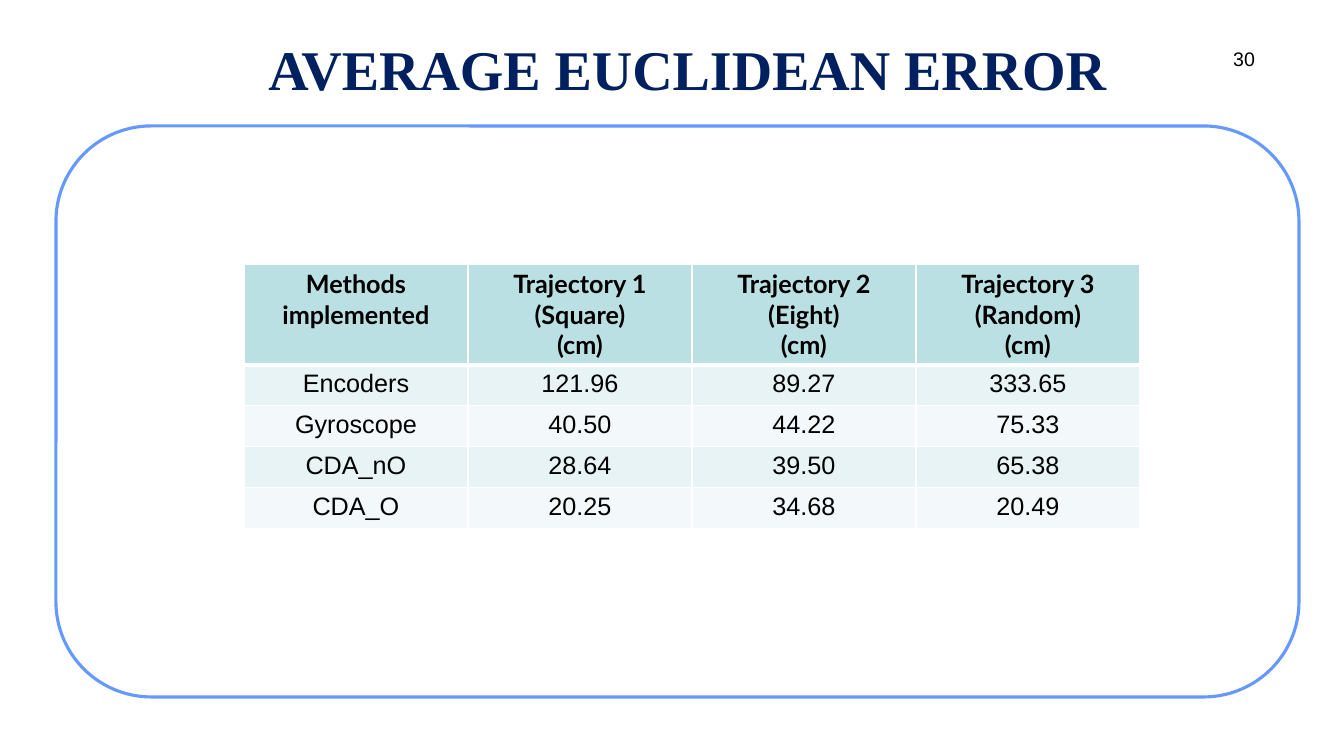
from dataclasses import dataclass

from lxml import etree
from pptx import Presentation
from pptx import util as u
from pptx.dml import color
from pptx.enum import shapes, text
from pptx.oxml import ns


@dataclass(frozen=True)
class Font:
    name: str
    size: int
    colour: str
    bold: bool = False


@dataclass(frozen=True)
class Theme:
    white: str = "FFFFFF"
    frame: str = "6699FF"
    header: str = "BBE0E3"
    bands: tuple[str, str] = ("E7F3F4", "F3F9FA")
    title: Font = Font("Times New Roman", 40, "002060", True)
    number: Font = Font("Arial", 14, "000000")
    heading: Font = Font("Lato", 18, "000000", True)
    body: Font = Font("Arial", 18, "000000")


@dataclass(frozen=True)
class Area:
    left: int
    top: int
    width: int
    height: int

    def emu(self) -> tuple[int, int, int, int]:
        return px(self.left), px(self.top), px(self.width), px(self.height)


@dataclass(frozen=True)
class Label:
    content: str
    area: Area
    font: Font
    align: text.PP_ALIGN
    anchor: text.MSO_ANCHOR


THEME = Theme()
SLIDE_WIDTH, SLIDE_HEIGHT = 1344, 756
EMU_PER_PX = u.Inches(1) / 100.8
FRAME = Area(56, 126, 1243, 571)
TABLE = Area(244, 264, 896, 264)
HEADER_HEIGHT, ROW_HEIGHT = 100, 41

LABELS = [
    Label("30", Area(1030, 42, 235, 52), THEME.number,
          text.PP_ALIGN.RIGHT, text.MSO_ANCHOR.TOP),
    Label("AVERAGE EUCLIDEAN ERROR", Area(143, 29, 1089, 78), THEME.title,
          text.PP_ALIGN.CENTER, text.MSO_ANCHOR.MIDDLE),
]

ERRORS = [
    ["Methods implemented", "Trajectory 1\n(Square)\n(cm)",
     "Trajectory 2\n(Eight)\n(cm)", "Trajectory 3\n(Random)\n(cm)"],
    ["Encoders", "121.96", "89.27", "333.65"],
    ["Gyroscope", "40.50", "44.22", "75.33"],
    ["CDA_nO", "28.64", "39.50", "65.38"],
    ["CDA_O", "20.25", "34.68", "20.49"],
]


def px(length: int) -> int:
    return round(length * EMU_PER_PX)


def rgb(value: str) -> color.RGBColor:
    return color.RGBColor.from_string(value)


def write(frame, content: str, font: Font, align: text.PP_ALIGN) -> None:
    for index, line in enumerate(content.split("\n")):
        para = frame.add_paragraph() if index else frame.paragraphs[0]
        para.alignment = align
        span = para.add_run()
        span.text = line
        span.font.name = font.name
        span.font.size = u.Pt(font.size)
        span.font.bold = font.bold
        span.font.color.rgb = rgb(font.colour)


def add_label(page, label: Label) -> None:
    box = page.shapes.add_textbox(*label.area.emu())
    box.text_frame.word_wrap = True
    box.text_frame.vertical_anchor = label.anchor
    write(box.text_frame, label.content, label.font, label.align)


def add_frame(page) -> None:
    frame = page.shapes.add_shape(shapes.MSO_SHAPE.ROUNDED_RECTANGLE, *FRAME.emu())
    frame.adjustments[0] = 0.167
    frame.shadow.inherit = False
    frame.fill.solid()
    frame.fill.fore_color.rgb = rgb(THEME.white)
    frame.line.color.rgb = rgb(THEME.frame)
    frame.line.width = u.Pt(2.25)


def set_borders(cell, top: int, bottom: int) -> None:
    properties = cell._tc.get_or_add_tcPr()
    widths = {"lnL": 1, "lnR": 1, "lnT": top, "lnB": bottom}
    for position, (side, width) in enumerate(widths.items()):
        line = etree.Element(ns.qn(f"a:{side}"), w=str(u.Pt(width)))
        fill = etree.SubElement(line, ns.qn("a:solidFill"))
        etree.SubElement(fill, ns.qn("a:srgbClr"), val=THEME.white)
        properties.insert(position, line)


def add_error_table(page) -> None:
    table = page.shapes.add_table(len(ERRORS), len(ERRORS[0]), *TABLE.emu()).table
    for column in table.columns:
        column.width = px(TABLE.width // len(ERRORS[0]))
    for r, values in enumerate(ERRORS):
        is_header = r == 0
        table.rows[r].height = px(HEADER_HEIGHT if is_header else ROW_HEIGHT)
        for c, value in enumerate(values):
            cell = table.cell(r, c)
            cell.fill.solid()
            fill = THEME.header if is_header else THEME.bands[(r - 1) % 2]
            cell.fill.fore_color.rgb = rgb(fill)
            set_borders(cell, 3 if r == 1 else 1, 3 if is_header else 1)
            font = THEME.heading if is_header else THEME.body
            write(cell.text_frame, value, font, text.PP_ALIGN.CENTER)


def main() -> None:
    deck = Presentation()
    deck.slide_width, deck.slide_height = px(SLIDE_WIDTH), px(SLIDE_HEIGHT)
    page = deck.slides.add_slide(deck.slide_layouts[6])
    add_frame(page)
    add_error_table(page)
    for label in LABELS:
        add_label(page, label)
    deck.save("out.pptx")


if __name__ == "__main__":
    main()
